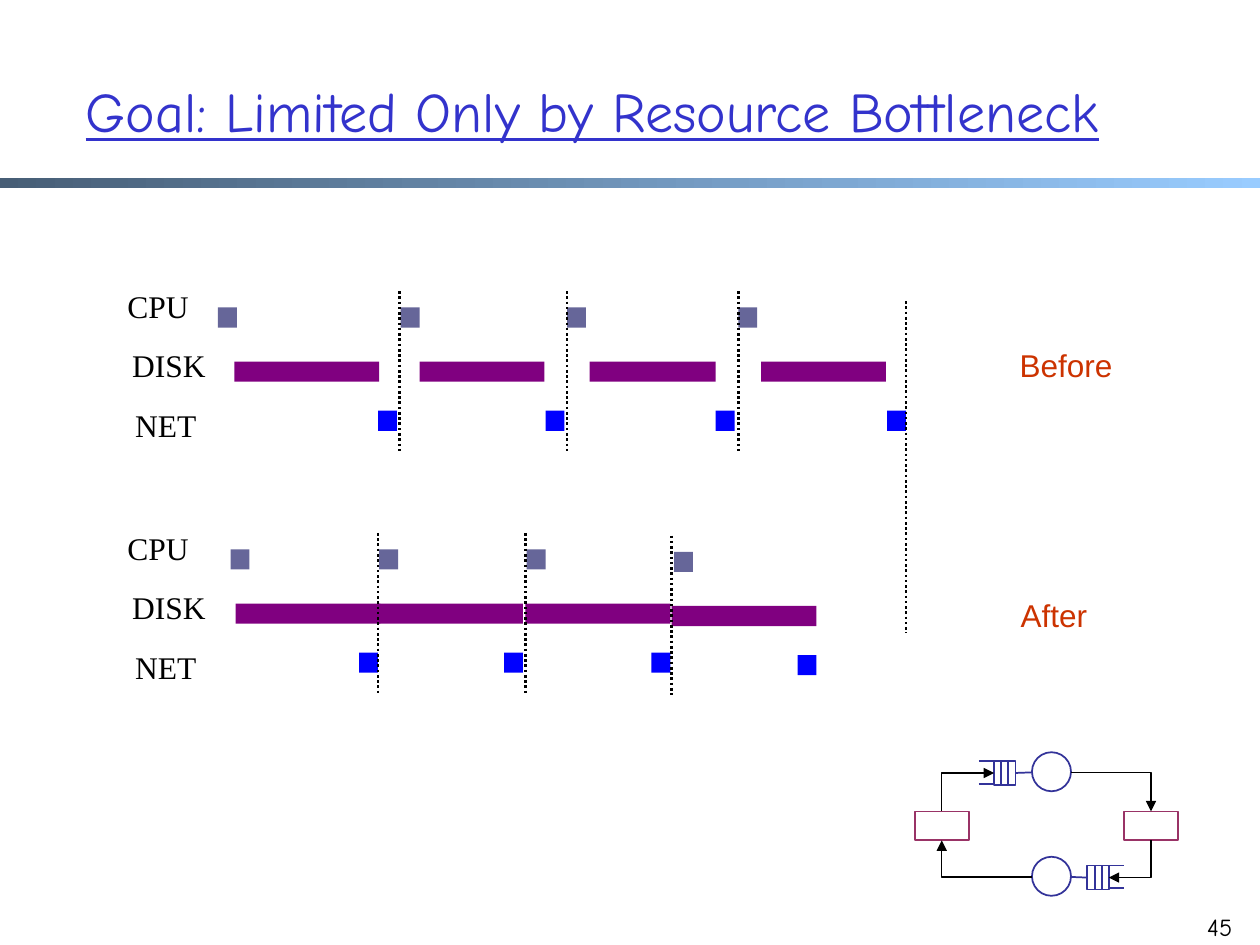
from lxml import etree
from pptx import Presentation
from pptx.dml.color import RGBColor
from pptx.enum import dml, shapes, text
from pptx.oxml.ns import qn
from pptx.util import Inches, Pt

COLORS = {
    "title": "3333CC", "band_start": "475E76", "band_end": "99CCFF",
    "cpu": "666699", "disk": "800080", "net": "0000FF", "black": "000000",
    "caption": "CC3300", "queue": "333399", "station": "993366", "white": "FFFFFF",
}
RGB = {name: RGBColor.from_string(value) for name, value in COLORS.items()}
RECT, OVAL = shapes.MSO_SHAPE.RECTANGLE, shapes.MSO_SHAPE.OVAL
STRAIGHT, ELBOW = shapes.MSO_CONNECTOR.STRAIGHT, shapes.MSO_CONNECTOR.ELBOW

prs = Presentation()
prs.slide_width, prs.slide_height = Inches(10), Inches(7.5)
slide = prs.slides.add_slide(prs.slide_layouts[5])


def add_block(left, top, width, height, fill, outline=None, kind=RECT):
    block = slide.shapes.add_shape(
        kind, Inches(left), Inches(top), Inches(width), Inches(height))
    block.shadow.inherit = False
    block.fill.solid()
    block.fill.fore_color.rgb = RGB[fill]
    if outline:
        block.line.color.rgb = RGB[outline]
        block.line.width = Pt(1)
    else:
        block.line.fill.background()
    return block


def add_line(x1, y1, x2, y2, color, width, kind=STRAIGHT):
    line = slide.shapes.add_connector(
        kind, Inches(x1), Inches(y1), Inches(x2), Inches(y2))
    line.line.color.rgb = RGB[color]
    line.line.width = Pt(width)
    etree.SubElement(line._element.spPr, qn("a:effectLst"))
    return line


# Title and the band below it
band = add_block(0, 1.41, 10, 0.08, "band_start")
band.fill.gradient()
band.fill.gradient_angle = 0
for stop, color in zip(band.fill.gradient_stops, ("band_start", "band_end")):
    stop.color.rgb = RGB[color]

title = slide.shapes.title
title.left, title.top = Inches(0.58), Inches(0.25)
title.width, title.height = Inches(9.13), Inches(1.25)
title.text_frame.text = "Goal: Limited Only by Resource Bottleneck"
title.text_frame.vertical_anchor = text.MSO_ANCHOR.MIDDLE
heading = title.text_frame.paragraphs[0]
heading.alignment = text.PP_ALIGN.LEFT
heading.font.name, heading.font.size = "Comic Neue", Pt(32)
heading.font.underline = True
heading.font.color.rgb = RGB["title"]

# Timelines: each job is (cpu left, disk left, disk width, net left, drop)
UNIT_W, UNIT_H = 0.15, 0.16
timelines = [
    (2.44, [(1.73, 1.86, 1.15, 3.00, 0), (3.18, 3.33, 0.99, 4.33, 0),
            (4.50, 4.68, 1.00, 5.68, 0), (5.86, 6.04, 0.99, 7.04, 0)]),
    (4.36, [(1.83, 1.87, 1.15, 2.85, 0), (3.01, 3.00, 1.15, 4.00, 0),
            (4.18, 4.17, 1.15, 5.17, 0), (5.35, 5.33, 1.15, 6.33, 0.02)]),
]
for top, jobs in timelines:
    for cpu, disk, disk_width, net, drop in jobs:
        add_block(cpu, top + drop, UNIT_W, UNIT_H, "cpu")
        add_block(disk, top + 0.43 + drop, disk_width, UNIT_H, "disk")
        add_block(net, top + 0.82 + drop, UNIT_W, UNIT_H, "net")

# Job boundaries, then the finish of the first timeline
boundaries = [(x, 2.31, 3.58) for x in (3.17, 4.50, 5.86)]
boundaries += [(3.00, 4.23, 5.50), (4.17, 4.23, 5.50), (5.33, 4.25, 5.52)]
boundaries.append((7.19, 2.39, 5.02))
for x, start, end in boundaries:
    boundary = add_line(x, start, x, end, "black", 1.5)
    boundary.line.dash_style = dml.MSO_LINE.ROUND_DOT

# Row labels, captions and page number
CENTER, RIGHT = text.PP_ALIGN.CENTER, text.PP_ALIGN.RIGHT
labels = [
    ("Before", 7.99, 2.70, 0.94, "Arial", 18, "caption", CENTER),
    ("After", 8.00, 4.68, 0.73, "Arial", 18, "caption", CENTER),
    ("45", 9.38, 7.19, 0.50, "Comic Neue", 14, "black", RIGHT),
]
for top in (2.23, 4.15):
    for row, (name, left, width) in enumerate(
            [("CPU", 0.91, 0.69), ("DISK", 0.95, 0.78), ("NET", 0.97, 0.69)]):
        labels.append((name, left, top + row * 0.47, width,
                       "Times New Roman", 18, "black", CENTER))
for wording, left, top, width, font, size, color, alignment in labels:
    label = slide.shapes.add_textbox(
        Inches(left), Inches(top), Inches(width), Inches(0.4))
    label.text_frame.word_wrap = False
    label.text_frame.text = wording
    paragraph = label.text_frame.paragraphs[0]
    paragraph.alignment = alignment
    paragraph.font.name, paragraph.font.size = font, Pt(size)
    paragraph.font.color.rgb = RGB[color]

# Queueing loop: the lower queue mirrors the upper one
left_station, right_station = [
    add_block(x, 6.44, 0.43, 0.23, "white", "station") for x in (7.26, 8.92)]
entry_slots = []
for entry_x, direction, middle in ((7.89, 1, 6.13), (8.80, -1, 6.96)):
    slots = []
    for index in range(3):
        near = entry_x + direction * index * 0.055
        slots.append(add_block(min(near, near + direction * 0.06), middle - 0.09,
                               0.06, 0.19, "white", "queue"))
    entry_slots.append(slots[0])
    for y in (middle - 0.09, middle + 0.09):
        add_line(entry_x - direction * 0.12, y, entry_x, y, "queue", 1)
    server_x = 8.19 if direction == 1 else 8.50
    link = add_line(entry_x + direction * 0.17, middle, server_x, middle, "queue", 1)
    link.begin_connect(slots[-1], 3 if direction == 1 else 1)
    add_block(8.19, middle - 0.16, 0.31, 0.31, "white", "queue", OVAL)

upper_slot, lower_slot = entry_slots
# Each route leaves sideways and arrives vertically at a station
routes = [
    (8.50, 6.13, None, 0, right_station, 0, "tailEnd"),
    (8.80, 6.96, lower_slot, 3, right_station, 2, "headEnd"),
    (8.19, 6.96, None, 0, left_station, 2, "tailEnd"),
    (7.89, 6.13, upper_slot, 1, left_station, 0, "headEnd"),
]
for x, y, slot, slot_side, station, station_side, arrow_end in routes:
    route = add_line(x, y, 8.3, 6.55, "black", 0.75, ELBOW)
    if slot is not None:
        route.begin_connect(slot, slot_side)
    route.end_connect(station, station_side)
    route._element.spPr.find(qn("a:prstGeom")).set("prst", "bentConnector2")
    arrow = etree.SubElement(route._element.spPr.find(qn("a:ln")), qn(f"a:{arrow_end}"))
    arrow.set("type", "triangle")

prs.save("out.pptx")
